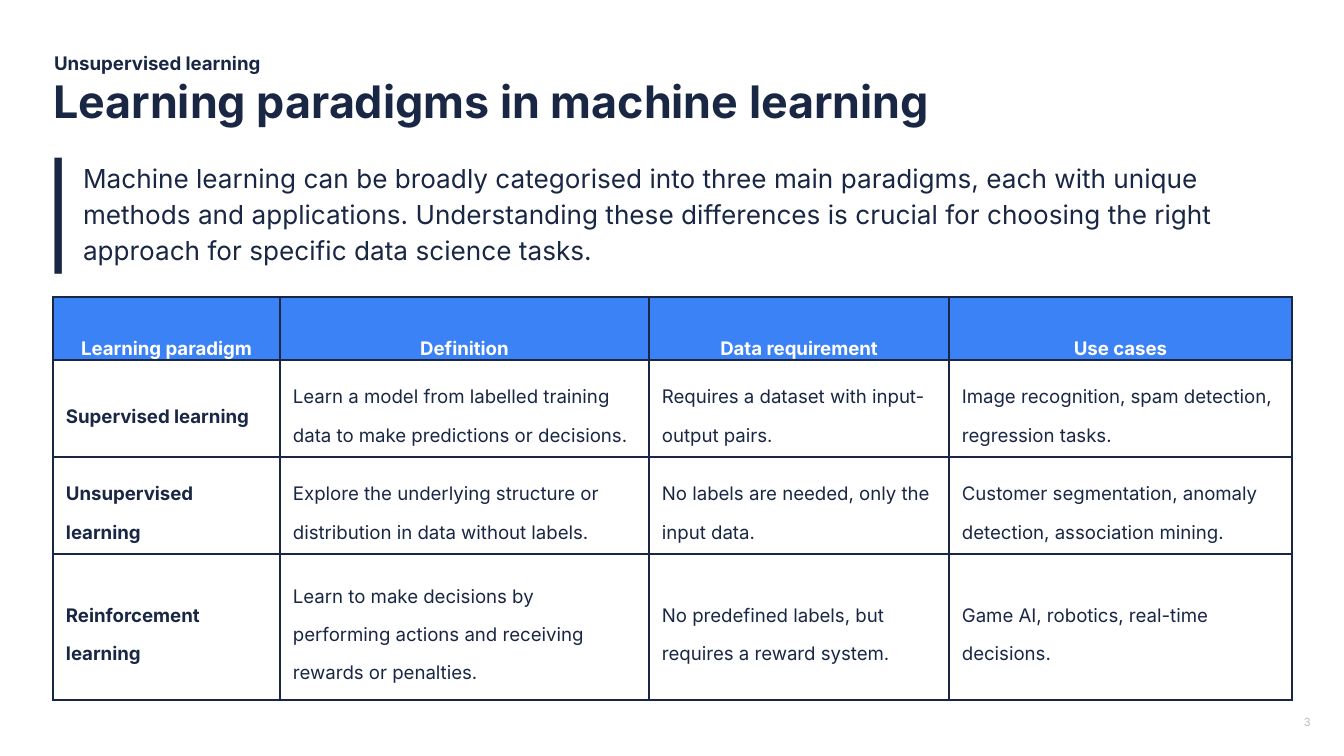
from lxml.etree import SubElement
from pptx import Presentation
from pptx.dml.color import RGBColor
from pptx.enum.text import MSO_ANCHOR as Anchor, MSO_AUTO_SIZE as AutoSize, PP_ALIGN as Align
from pptx.oxml.ns import qn
from pptx.util import Emu, Pt

FONT = "Inter"
NAVY, BLUE, WHITE, GREY = "1A2744", "3B82F6", "FFFFFF", "BABEC7"
PAD = 13

COLUMN_WIDTHS = [227, 369, 300, 343]
ROW_HEIGHTS = [63, 97, 97, 146]
ROWS = [
    ["Learning paradigm", "Definition", "Data requirement", "Use cases"],
    ["Supervised learning",
     "Learn a model from labelled training data to make predictions or decisions.",
     "Requires a dataset with input-output pairs.",
     "Image recognition, spam detection, regression tasks."],
    ["Unsupervised learning",
     "Explore the underlying structure or distribution in data without labels.",
     "No labels are needed, only the input data.",
     "Customer segmentation, anomaly detection, association mining."],
    ["Reinforcement learning",
     "Learn to make decisions by performing actions and receiving rewards or penalties.",
     "No predefined labels, but requires a reward system.",
     "Game AI, robotics, real-time decisions."],
]


def px(value):
    return Emu(round(value * 914400 / 134.4))


def color(value):
    return RGBColor.from_string(value)


def style(paragraph, size, ink=NAVY, bold=False, align=Align.LEFT, spacing=1.0):
    paragraph.alignment = align
    paragraph.line_spacing = spacing
    font = paragraph.font
    font.name, font.size, font.bold = FONT, Pt(size), bold
    font.color.rgb = color(ink)


def fill_frame(frame, text, insets, anchor, size, **look):
    frame.word_wrap = True
    frame.auto_size = AutoSize.NONE
    frame.vertical_anchor = anchor
    (frame.margin_left, frame.margin_top,
     frame.margin_right, frame.margin_bottom) = map(px, insets)
    frame.text = text
    style(frame.paragraphs[0], size, **look)
    return frame.paragraphs[0]


def add_text(slide, box, text, insets, anchor, size, **look):
    shape = slide.shapes.add_textbox(*map(px, box))
    return fill_frame(shape.text_frame, text, insets, anchor, size, **look)


def add_heading(slide, left, top, width):
    # Small section label above the slide title
    add_text(slide, (left + 1, top, width, 22), "Unsupervised learning",
             (0, PAD, PAD, PAD), Anchor.MIDDLE, 10, bold=True)
    title = slide.shapes.title
    title.left, title.top, title.width, title.height = map(px, (left, top + 22, width, 52))
    fill_frame(title.text_frame, "Learning paradigms in machine learning",
               (0, 0, 0, 0), Anchor.TOP, 24, bold=True)


def add_intro(slide, left, top, width, height):
    # Tall bar character, then the introduction beside it
    add_text(slide, (left, top, 27, height), "|", (0, PAD, 0, PAD), Anchor.MIDDLE, 52)
    paragraph = add_text(
        slide, (left + 20, top + 21, width - 20, 117),
        "Machine learning can be broadly categorised into three main paradigms, "
        "each with unique methods and applications. Understanding these differences "
        "is crucial for choosing the right approach for specific data science tasks.",
        (20, PAD, PAD, PAD), Anchor.MIDDLE, 14, spacing=1.15)
    paragraph.space_after = Pt(12)


def add_borders(cell):
    properties = cell._tc.get_or_add_tcPr()
    for side in ("a:lnL", "a:lnR", "a:lnT", "a:lnB"):
        line = SubElement(properties, qn(side), w=str(Pt(1.5)))
        solid = SubElement(line, qn("a:solidFill"))
        SubElement(solid, qn("a:srgbClr"), val=NAVY)


def fill_cell(cell, text, is_header, is_label):
    add_borders(cell)
    if is_header:
        cell.fill.solid()
        cell.fill.fore_color.rgb = color(BLUE)
    else:
        cell.fill.background()
    cell.margin_left = cell.margin_right = px(PAD)
    cell.margin_top = cell.margin_bottom = 0
    cell.vertical_anchor = Anchor.BOTTOM if is_header else Anchor.MIDDLE
    cell.text = text
    style(cell.text_frame.paragraphs[0], 10, WHITE if is_header else NAVY,
          is_header or is_label, Align.CENTER if is_header else Align.LEFT, 1.71)


def add_paradigm_table(slide, left, top):
    box = (left, top, sum(COLUMN_WIDTHS), sum(ROW_HEIGHTS))
    table = slide.shapes.add_table(len(ROWS), len(COLUMN_WIDTHS), *map(px, box)).table
    table.first_row = table.horz_banding = False
    for column, width in zip(table.columns, COLUMN_WIDTHS):
        column.width = px(width)
    for row, height in zip(table.rows, ROW_HEIGHTS):
        row.height = px(height)
    for r, texts in enumerate(ROWS):
        for c, text in enumerate(texts):
            fill_cell(table.cell(r, c), text, r == 0, c == 0)


def main():
    presentation = Presentation()
    presentation.slide_width, presentation.slide_height = px(1344), px(756)
    slide = presentation.slides.add_slide(presentation.slide_layouts[5])
    slide.background.fill.solid()
    slide.background.fill.fore_color.rgb = color(WHITE)

    add_intro(slide, 43, 132, 1247, 161)
    add_heading(slide, 53, 52, 1238)
    add_paradigm_table(slide, 53, 297)
    # Page number
    add_text(slide, (1291, 702, 53, 38), "3", (PAD,) * 4, Anchor.TOP, 6, ink=GREY)

    presentation.save("out.pptx")


if __name__ == "__main__":
    main()
